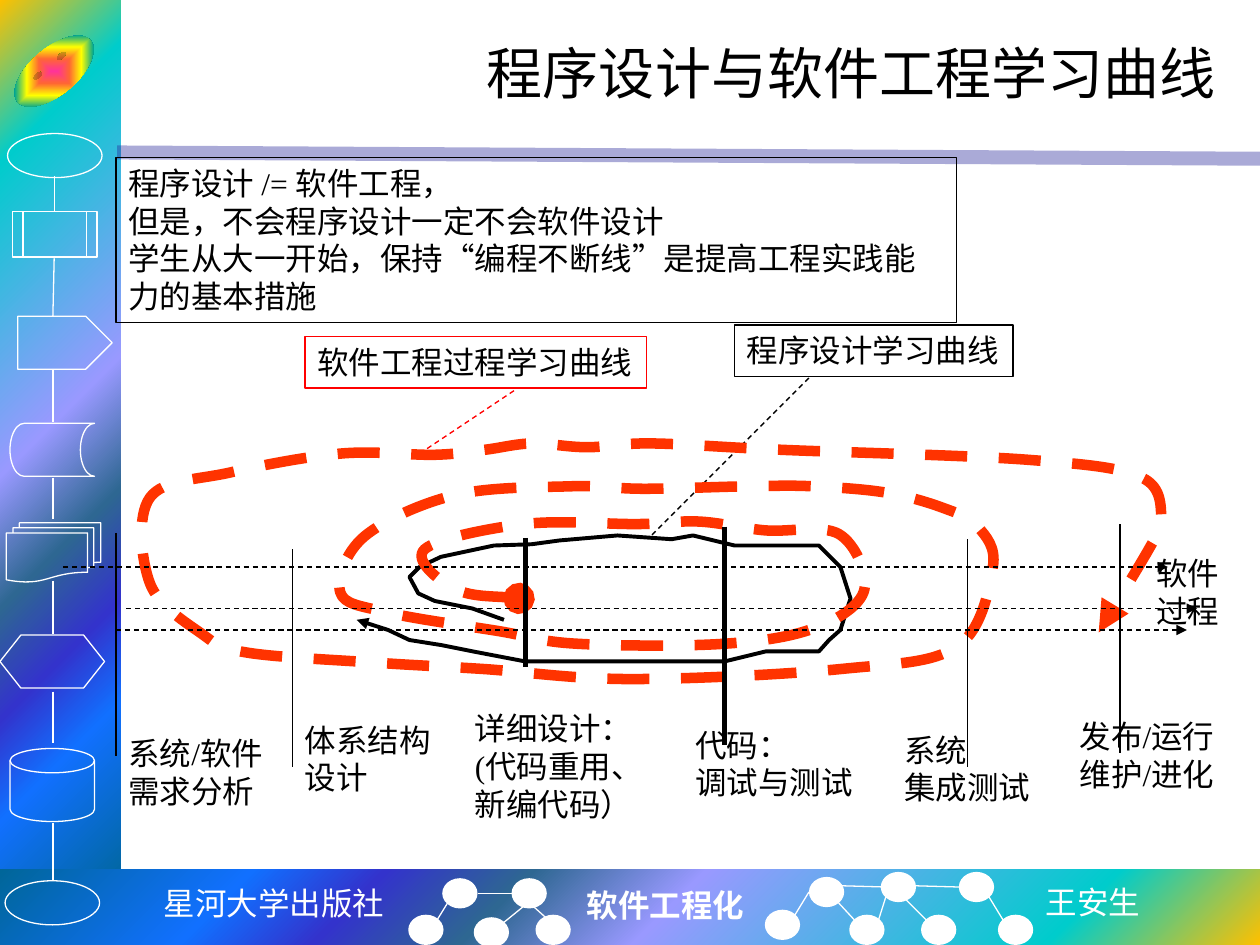
import pptx
import pptx.dml.color
import pptx.enum.dml
import pptx.enum.shapes
import pptx.enum.text
import pptx.oxml
import pptx.oxml.ns
import pptx.util
from lxml import etree
from typing import NamedTuple

Inches = pptx.util.Inches
KIND = pptx.enum.shapes.MSO_SHAPE
ALIGN = pptx.enum.text.PP_ALIGN
SERIF = "Times New Roman"

HUE = {"white": "FFFFFF", "black": "000000", "red": "FF0000",
       "curve": "FF3300", "rule": "262699"}
BANDS = [(0, "FFC000"), (16, "00CCCC"), (47, "9999FF"), (60, "2E6792"),
         (71, "3333CC"), (81, "1170FF"), (100, "006699")]
GLOW = [(0, "FF3399"), (25, "FF6633"), (50, "FFFF00"), (75, "01A78F"), (100, "3366FF")]


class Box(NamedTuple):
    x: float
    y: float
    w: float
    h: float


class Icon(NamedTuple):
    kind: int
    box: Box


class Link(NamedTuple):
    x1: float
    y1: float
    x2: float
    y2: float


class Label(NamedTuple):
    text: str
    box: Box
    wrap: bool = False


# Flow chart symbols down the side
ICONS = [
    Icon(KIND.OVAL, Box(0.06, 1.06, 0.75, 0.35)),
    Icon(KIND.FLOWCHART_PREDEFINED_PROCESS, Box(0.1, 1.68, 0.67, 0.36)),
    Icon(KIND.PENTAGON, Box(0.14, 2.51, 0.75, 0.42)),
    Icon(KIND.FLOWCHART_STORED_DATA, Box(0.08, 3.36, 0.67, 0.42)),
    Icon(KIND.FLOWCHART_MULTIDOCUMENT, Box(0.05, 4.15, 0.75, 0.47)),
    Icon(KIND.FLOWCHART_PREPARATION, Box(0, 5.04, 0.83, 0.42)),
    Icon(KIND.FLOWCHART_MAGNETIC_DISK, Box(0.08, 5.94, 0.67, 0.58)),
    Icon(KIND.OVAL, Box(0.04, 6.99, 0.75, 0.35)),
]
STEMS = [Link(0.43, 1.4, 0.43, 1.68), Link(0.43, 2.05, 0.42, 2.51)] + [
    Link(0.42, top, 0.42, end) for top, end in
    [(2.93, 3.35), (3.79, 4.12), (4.61, 5.03), (5.49, 5.9), (6.53, 6.99)]]

# Trees in the footer
NODES = [(3.51, 6.97), (4.06, 6.97), (3.24, 7.26), (3.76, 7.28), (4.25, 7.26),
         (6.42, 6.96), (6.99, 6.92), (7.61, 6.92),
         (6.07, 7.22), (6.74, 7.26), (7.31, 7.26), (7.92, 7.26)]
EDGES = [Link(3.47, 7.3, 3.55, 7.17), Link(4, 7.32, 4.16, 7.19),
         Link(4.06, 7.09, 3.79, 7.09), Link(4.34, 7.29, 4.24, 7.2),
         Link(6.78, 7.3, 6.65, 7.16), Link(7.35, 7.3, 7.15, 7.1),
         Link(7.96, 7.3, 7.85, 7.12), Link(6.97, 7.31, 7.03, 7.12),
         Link(7.26, 7.03, 7.61, 7.04), Link(6.31, 7.26, 6.42, 7.08),
         Link(6.68, 7.03, 7.03, 7.04)]

# Points that the two learning curves pass through
CODING = [
    (4, 4.92), (3.75, 4.83), (3.45, 4.77), (3.32, 4.71), (3.25, 4.58), (3.33, 4.5),
    (3.5, 4.42), (3.92, 4.33), (4.22, 4.32), (4.44, 4.29), (4.9, 4.25), (5.33, 4.28),
    (5.5, 4.25), (5.83, 4.33), (6, 4.33), (6.25, 4.33), (6.5, 4.33), (6.67, 4.5),
    (6.75, 4.75), (6.67, 5), (6.58, 5.08), (6.5, 5.17), (6.08, 5.17), (5.75, 5.25),
    (5.58, 5.25), (5.17, 5.25), (5, 5.25), (4.75, 5.25), (4.58, 5.25), (4.42, 5.25),
    (4.17, 5.25), (3.75, 5.17), (3.5, 5.12), (3.25, 5.08), (3.08, 5), (2.83, 4.92)]
PROCESS = [
    (4.12, 4.75), (3.6, 4.67), (3.37, 4.36), (4.16, 4.16), (5.07, 4.16), (5.55, 4.14),
    (6.07, 4.21), (6.66, 4.24), (6.86, 4.68), (6.48, 4.98), (5.75, 5.11), (4.58, 5.11),
    (3.96, 5.01), (3.07, 4.86), (2.7, 4.7), (2.89, 4.26), (3.61, 3.93), (4.53, 3.86),
    (5.11, 3.88), (5.94, 3.86), (6.45, 3.86), (7.03, 3.91), (7.48, 4.03), (7.76, 4.18),
    (7.88, 4.5), (7.6, 5.13), (6.68, 5.31), (5.01, 5.39), (3.83, 5.31), (2.98, 5.26),
    (1.96, 5.18), (1.6, 5.03), (1.19, 4.63), (1.19, 3.95), (1.83, 3.75), (2.71, 3.6),
    (3.45, 3.61), (3.85, 3.57), (4.22, 3.52), (4.66, 3.55), (5.17, 3.52), (6.19, 3.57),
    (8.16, 3.65), (9.06, 3.79), (9.22, 4.13), (9.14, 4.32), (8.72, 5.02)]

# Phases: vertical marks, time arrows and labels
MARKS = [(0.92, 4.23, 6, 0.75), (2.32, 4.36, 6.09, 0.75), (4.17, 4.27, 5.29, 3),
         (5.75, 4.18, 5.91, 3), (7.68, 4.28, 6.09, 0.75), (8.89, 4.16, 5.98, 0.75)]
TIMES = [(0.5, 9.27, 4.5), (1, 9.5, 4.83), (0.92, 9.42, 5)]
PHASES = [
    Label("软件\n过程", Box(9.08, 4.35, 0.7, 0.7)),
    Label("系统/软件\n需求分析", Box(0.92, 5.78, 1.27, 0.7), True),
    Label("体系结构\n设计", Box(2.32, 5.67, 1.2, 0.7)),
    Label("详细设计：\n(代码重用、\n新编代码）", Box(3.67, 5.58, 1.53, 1)),
    Label("代码：\n调试与测试", Box(5.42, 5.71, 1.45, 0.7)),
    Label("系统\n集成测试", Box(7.08, 5.75, 1.2, 0.7)),
    Label("发布/运行\n维护/进化", Box(8.47, 5.64, 1.27, 0.7), True),
]


def tint(name: str):
    return pptx.dml.color.RGBColor.from_string(HUE[name])


def pen(item, hue: str, width: float, dash=False, head="", tail="") -> None:
    item.line.color.rgb = tint(hue)
    item.line.width = pptx.util.Pt(width)
    if dash:
        item.line.dash_style = pptx.enum.dml.MSO_LINE.DASH
    line = item.line._get_or_add_ln()
    for tag, end in (("a:headEnd", head), ("a:tailEnd", tail)):
        if end:
            etree.SubElement(line, pptx.oxml.ns.qn(tag), type=end)


def shape(slide, kind: int, box: Box, fill="", hue="", width=0.75):
    item = slide.shapes.add_shape(kind, *map(Inches, box))
    item.shadow.inherit = False
    if fill:
        item.fill.solid()
        item.fill.fore_color.rgb = tint(fill)
    else:
        item.fill.background()
    if hue:
        pen(item, hue, width)
    else:
        item.line.fill.background()
    return item


def blend(item, stops: list, form: str, focus: str) -> None:
    """Swap the empty fill for a gradient that spreads from the focus."""
    marks = "".join(f'<a:gs pos="{pos * 1000}"><a:srgbClr val="{hue}"/></a:gs>'
                    for pos, hue in stops)
    grad = pptx.oxml.parse_xml(
        f'<a:gradFill {pptx.oxml.ns.nsdecls("a")} rotWithShape="1"><a:gsLst>{marks}</a:gsLst>'
        f'<a:path path="{form}"><a:fillToRect {focus}/></a:path></a:gradFill>')
    old = item._element.spPr.find(pptx.oxml.ns.qn("a:noFill"))
    old.getparent().replace(old, grad)


def link(slide, ends: Link, hue="black", width=0.75, **style):
    item = slide.shapes.add_connector(
        pptx.enum.shapes.MSO_CONNECTOR.STRAIGHT, *map(Inches, ends))
    pen(item, hue, width, **style)
    etree.SubElement(item._element.spPr, pptx.oxml.ns.qn("a:effectLst"))
    return item


def write(item, text: str, size=18, font=SERIF, hue="black", bold=False,
          align=ALIGN.LEFT, wrap=False, grow=True,
          anchor=pptx.enum.text.MSO_ANCHOR.TOP) -> None:
    frame = item.text_frame
    frame.text = text
    frame.word_wrap = wrap
    frame.vertical_anchor = anchor
    modes = pptx.enum.text.MSO_AUTO_SIZE
    frame.auto_size = modes.SHAPE_TO_FIT_TEXT if grow else modes.NONE
    for para in frame.paragraphs:
        para.alignment = align
        for run in para.runs:
            run.font.size = pptx.util.Pt(size)
            run.font.name = font
            run.font.bold = bold
            run.font.color.rgb = tint(hue)


def note(slide, text: str, box: Box, **style) -> None:
    write(slide.shapes.add_textbox(*map(Inches, box)), text, **style)


def frame(slide, text: str, box: Box, hue="black", wrap=False) -> None:
    write(shape(slide, KIND.RECTANGLE, box, hue=hue), text, wrap=wrap)


def guide(points: list) -> list:
    """Put two Bezier handles between each pair of points."""
    pads = [points[0], *points, points[-1]]
    out = [points[0]]
    for a, b, c, d in zip(pads, pads[1:], pads[2:], pads[3:]):
        out += [tuple(q + (r - p) / 6 for p, q, r in zip(a, b, c)),
                tuple(r - (s - q) / 6 for q, r, s in zip(b, c, d)), c]
    return out


def trace(slide, points: list, hue: str, width: float, curved=False, **style) -> None:
    dots = [(Inches(x), Inches(y)) for x, y in (guide(points) if curved else points)]
    path = slide.shapes.build_freeform(*dots[0])
    path.add_line_segments(dots[1:], close=False)
    item = path.convert_to_shape()
    item.shadow.inherit = False
    item.fill.background()
    pen(item, hue, width, **style)
    if curved:
        legs = list(item._element.iter(pptx.oxml.ns.qn("a:lnTo")))
        for trio in zip(legs[::3], legs[1::3], legs[2::3]):
            bend = etree.Element(pptx.oxml.ns.qn("a:cubicBezTo"))
            trio[0].addprevious(bend)
            for leg in trio:
                bend.append(leg[0])
                leg.getparent().remove(leg)


def decor(slide) -> None:
    side = shape(slide, KIND.RECTANGLE, Box(0, 0, 0.96, 7.09))
    blend(side, BANDS, "circle", 'r="100000" b="100000"')
    foot = shape(slide, KIND.RECTANGLE, Box(0, 6.9, 10, 0.6))
    blend(foot, BANDS, "circle", 'l="100000" t="100000"')
    rule = link(slide, Link(0.93, 1.21, 10, 1.26), "rule", 8)
    color = rule._element.spPr.find(".//" + pptx.oxml.ns.qn("a:srgbClr"))
    etree.SubElement(color, pptx.oxml.ns.qn("a:alpha"), val="39000")
    face = shape(slide, KIND.SMILEY_FACE, Box(0.05, 0.38, 0.76, 0.37))
    face.rotation = -40
    blend(face, GLOW, "rect", 'l="50000" t="50000" r="50000" b="50000"')
    for icon in ICONS:
        shape(slide, icon.kind, icon.box, hue="white")
    for x, y in NODES:
        shape(slide, KIND.OVAL, Box(x, y, 0.28, 0.24), fill="white")
    for ends in STEMS + EDGES:
        link(slide, ends, "white")
    note(slide, "星河大学出版社", Box(1.19, 6.97, 1.97, 0.4), font="Courier New",
         hue="white", align=ALIGN.CENTER)
    note(slide, "软件工程化", Box(4.56, 6.98, 1.46, 0.4), hue="white", bold=True)
    note(slide, "王安生", Box(8.2, 6.96, 0.96, 0.4), font="Noto Sans CJK SC", hue="white")


def main() -> None:
    deck = pptx.Presentation()
    deck.slide_width, deck.slide_height = Inches(10), Inches(7.5)
    slide = deck.slides.add_slide(deck.slide_layouts[5])
    decor(slide)

    # Title
    title = slide.shapes.title
    title.left, title.top, title.width, title.height = map(Inches, (1.25, 0.17, 8.5, 0.81))
    write(title, "程序设计与软件工程学习曲线", size=32, align=ALIGN.RIGHT, wrap=True,
          grow=False, anchor=pptx.enum.text.MSO_ANCHOR.MIDDLE)

    # Learning curves with their captions
    trace(slide, CODING, "black", 2.25, tail="triangle")
    frame(slide, "程序设计学习曲线", Box(5.83, 2.58, 2.21, 0.41))
    link(slide, Link(6.42, 3, 5.17, 4.25), dash=True)
    frame(slide, "程序设计 /= 软件工程，\n但是，不会程序设计一定不会软件设计\n"
          "学生从大一开始，保持“编程不断线”是提高工程实践能力的基本措施",
          Box(0.92, 1.25, 6.67, 1.31), wrap=True)
    link(slide, Link(3.33, 3.6, 4.08, 3.1), "red", dash=True)
    frame(slide, "软件工程过程学习曲线", Box(2.42, 2.67, 2.71, 0.41), "red")
    trace(slide, PROCESS, "curve", 6, curved=True, dash=True, head="oval", tail="triangle")

    # Phases of the process
    for x, top, end, width in MARKS:
        link(slide, Link(x, top, x, end), width=width)
    for label in PHASES:
        note(slide, label.text, label.box, wrap=label.wrap)
    for left, right, y in TIMES:
        link(slide, Link(left, y, right, y), dash=True, tail="triangle")

    deck.save("out.pptx")


if __name__ == "__main__":
    main()
